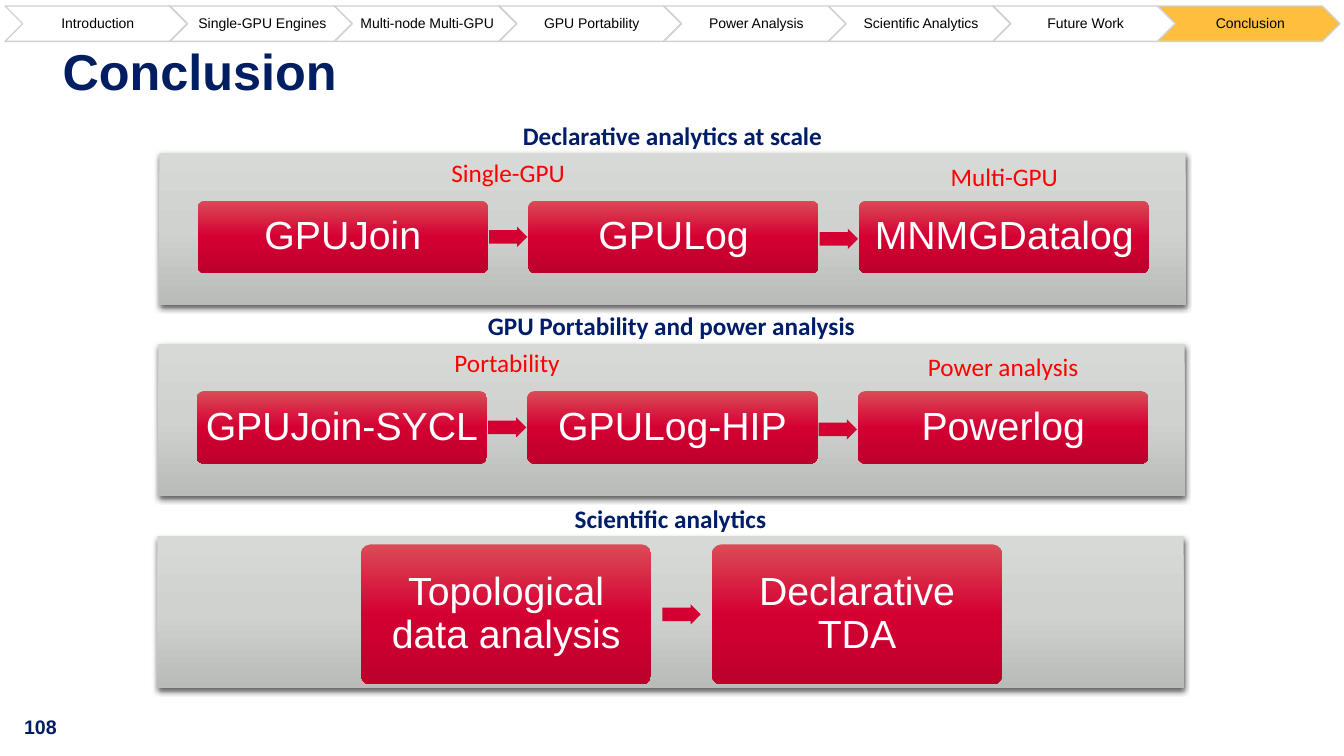
from pptx import Presentation
from pptx import util as u
from pptx.dml.color import RGBColor
from pptx.enum import shapes, text
from pptx.oxml import parse_xml
from pptx.oxml.ns import nsdecls

SECTIONS = ["Introduction", "Single-GPU Engines", "Multi-node Multi-GPU", "GPU Portability",
            "Power Analysis", "Scientific Analytics", "Future Work", "Conclusion"]
CURRENT = "Conclusion"
PAGE = "108"
# Captions: (wording, first step, steps spanned, drop below the panel top)
PANELS = [
    dict(heading="Declarative analytics at scale", at=(1.58, 1.52),
         steps=["GPUJoin", "GPULog", "MNMGDatalog"],
         captions=[("Single-GPU", 0, 2, -0.01), ("Multi-GPU", 2, 1, 0.03)],
         inset=(0.38, 0.47), step_height=0.72, gap=0.4, corner=0.1, arrow_drop=0.02),
    dict(heading="GPU Portability and power analysis", at=(1.57, 3.41),
         steps=["GPUJoin-SYCL", "GPULog-HIP", "Powerlog"],
         captions=[("Portability", 0, 2, -0.01), ("Power analysis", 2, 1, 0.03)],
         inset=(0.38, 0.47), step_height=0.72, gap=0.4, corner=0.1, arrow_drop=0.02),
    dict(heading="Scientific analytics", at=(1.56, 5.32),
         steps=["Topological data analysis", "Declarative TDA"], captions=[],
         inset=(2.02, 0.08), step_height=1.39, gap=0.6, corner=0.07, arrow_drop=0),
]
NAVY, HEADING, RED, CRIMSON = "001E61", "001D69", "FF0000", "D40032"
GREYS = ["D7D9D6", "D0D2CF", "B9BBB8"]
CRIMSONS = ["DB4B57", CRIMSON, "BC002C"]
PANEL_W, PANEL_H, STEP_W = 10.18, 1.51, 2.88
ARROW_W, ARROW_H = 0.38, 0.2
HEADING_W, CAPTION_H = 6.15, 0.4
NAV_LEFT, NAV_TOP, NAV_W, NAV_H, NAV_PITCH = 0.05, 0.06, 1.81, 0.35, 1.633

deck = Presentation()
deck.slide_width, deck.slide_height = u.Inches(13.33), u.Inches(7.5)
slide = deck.slides.add_slide(deck.slide_layouts[6])


def color(value):
    return RGBColor.from_string(value)


def write(shape, wording, size, font, ink, bold=False, align=text.PP_ALIGN.CENTER,
          anchor=text.MSO_ANCHOR.TOP, insets=(0.1, 0.05, 0.1, 0.05), spacing=1.0):
    frame = shape.text_frame
    frame.text = wording
    frame.word_wrap = True
    frame.vertical_anchor = anchor
    (frame.margin_left, frame.margin_top,
     frame.margin_right, frame.margin_bottom) = map(u.Inches, insets)
    line = frame.paragraphs[0]
    line.alignment, line.line_spacing = align, spacing
    face = line.runs[0].font
    face.size, face.name, face.bold = u.Pt(size), font, bold
    face.color.rgb = color(ink)


def add_text(box, *args, **kwargs):
    write(slide.shapes.add_textbox(*map(u.Inches, box)), *args, **kwargs)


def add_shape(kind, box, fill=None, line=None):
    """Adds a preset shape; a list of three colours makes a downward gradient."""
    shape = slide.shapes.add_shape(kind, *map(u.Inches, box))
    shape.shadow.inherit = False
    if line:
        shape.line.color.rgb = color(line)
        shape.line.width = u.Pt(1)
    else:
        shape.line.fill.background()
    if isinstance(fill, list):
        stops = "".join(f'<a:gs pos="{i * 50000}"><a:srgbClr val="{c}"/></a:gs>'
                        for i, c in enumerate(fill))
        shape._element.spPr.prstGeom.addnext(parse_xml(
            f'<a:gradFill {nsdecls("a")} rotWithShape="1"><a:gsLst>{stops}</a:gsLst>'
            '<a:lin ang="5400000" scaled="0"/></a:gradFill>'))
    elif fill:
        shape.fill.solid()
        shape.fill.fore_color.rgb = color(fill)
    else:
        shape.fill.background()
    return shape


def add_drop_shadow(shape):
    shape._element.spPr.find("{*}effectLst").append(parse_xml(
        f'<a:outerShdw {nsdecls("a")} blurRad="{u.Pt(4.5)}" dist="{u.Pt(1.5)}" dir="5400000" '
        'algn="ctr" rotWithShape="0"><a:srgbClr val="000000"><a:alpha val="63000"/>'
        '</a:srgbClr></a:outerShdw>'))


def add_panel(heading, at, steps, captions, inset, step_height, gap, corner, arrow_drop):
    left, top = at
    add_drop_shadow(add_shape(shapes.MSO_SHAPE.RECTANGLE, (left, top, PANEL_W, PANEL_H), GREYS))
    add_text((left + (PANEL_W - HEADING_W) / 2, top - 0.38, HEADING_W, CAPTION_H),
             heading, 18, "Calibri", HEADING, bold=True)
    first, step_top = left + inset[0], top + inset[1]
    pitch = STEP_W + gap
    for wording, start, span, drop in captions:
        add_text((first + start * pitch, top + drop, span * pitch - gap, CAPTION_H),
                 wording, 18, "Calibri", RED)
    for i, wording in enumerate(steps):
        step_left = first + i * pitch
        step = add_shape(shapes.MSO_SHAPE.ROUNDED_RECTANGLE,
                         (step_left, step_top, STEP_W, step_height), CRIMSONS)
        step.adjustments[0] = corner
        write(step, wording, 28, "Arial", "FFFFFF", anchor=text.MSO_ANCHOR.MIDDLE,
              insets=(0.06,) * 4, spacing=0.9)
        if i:
            arrow = add_shape(shapes.MSO_SHAPE.RIGHT_ARROW,
                              (step_left - (gap + ARROW_W) / 2,
                               step_top + (step_height - ARROW_H) / 2 + (i - 1) * arrow_drop,
                               ARROW_W, ARROW_H), CRIMSON)
            arrow.adjustments[0] = 0.67


add_text((0.14, 7.04, 0.66, 0.34), PAGE, 14, "Arial", NAVY, bold=True, align=text.PP_ALIGN.LEFT)
add_text((0.62, 0.47, 12.08, 0.89), CURRENT, 36, "Arial", NAVY, bold=True,
         align=text.PP_ALIGN.LEFT, insets=(0,) * 4, spacing=0.9)

for panel in PANELS:
    add_panel(**panel)

for i, section in enumerate(SECTIONS):
    nav_left = NAV_LEFT + i * NAV_PITCH
    add_shape(shapes.MSO_SHAPE.CHEVRON, (nav_left, NAV_TOP, NAV_W, NAV_H),
              "FFBE3E" if section == CURRENT else None, "D0D2CF")
    add_text((nav_left + NAV_H / 2, NAV_TOP, NAV_W - NAV_H, NAV_H), section, 10, "Arial", "000000",
             anchor=text.MSO_ANCHOR.MIDDLE, insets=(0.04, 0.01, 0.01, 0.01), spacing=0.9)

deck.save("out.pptx")
